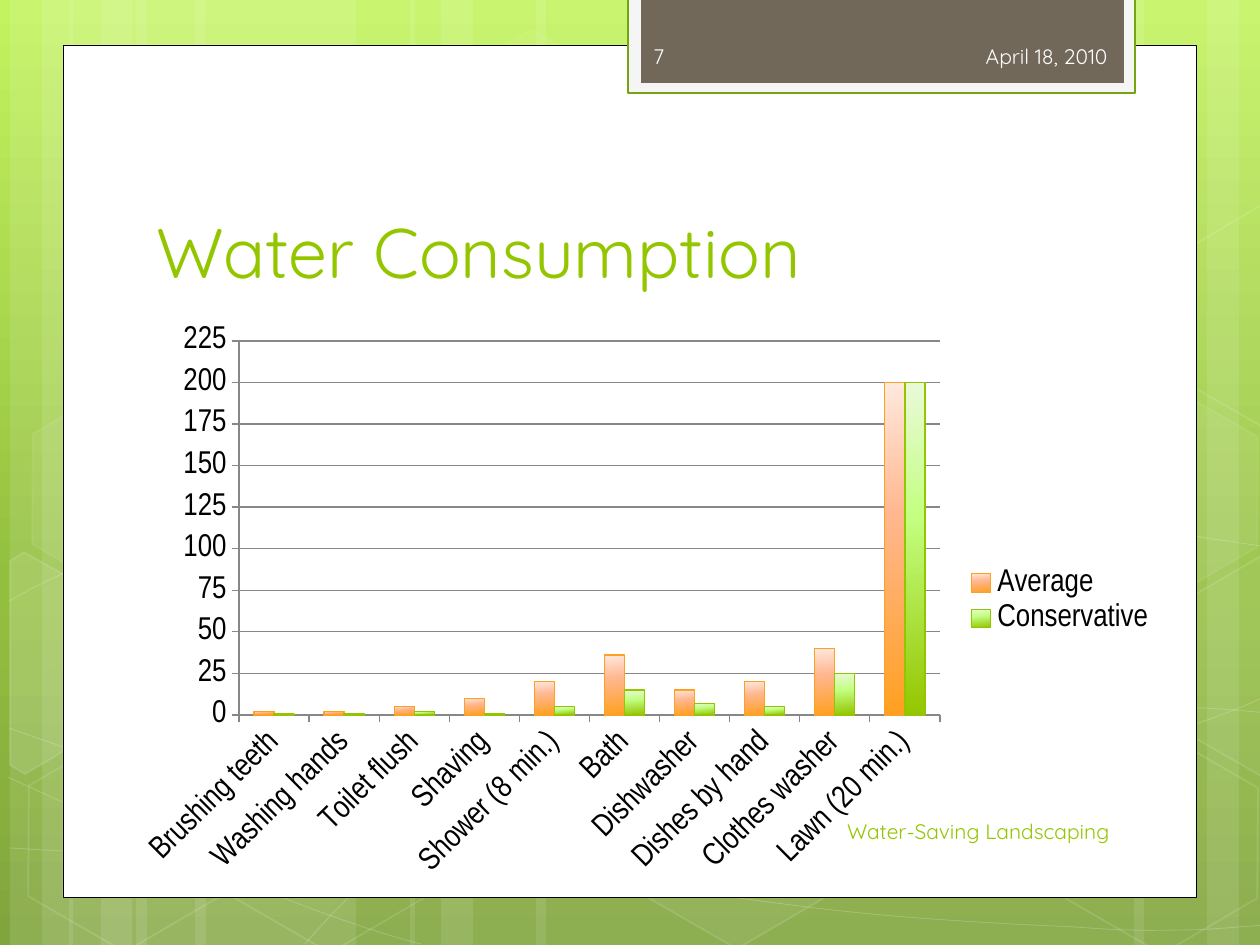
from lxml.etree import SubElement
from pptx import Presentation
from pptx.chart.data import CategoryChartData
from pptx.dml.color import RGBColor
from pptx.enum.chart import XL_CHART_TYPE as ChartType, XL_LEGEND_POSITION as LegendPos, XL_TICK_MARK as Tick
from pptx.enum.shapes import MSO_SHAPE as Shape
from pptx.enum.text import MSO_ANCHOR as Anchor, PP_ALIGN as Align
from pptx.oxml import parse_xml
from pptx.oxml.ns import nsdecls, qn
from pptx.util import Pt

PX = 914400 / 126  # EMU in one pixel
THEME = {
    "white": "FFFFFF", "black": "000000", "green": "94C600", "orange": "FEA022",
    "tab": "71685A", "tab_frame": "F5F5F5", "tab_line": "74A510", "tab_text": "FEFEFE", "grid": "878787",
    "background": [(0, "C3F35F"), (62, "93BF3F"), (100, "81A53E")],
    "orange_fade": [(0, "FFE9DE"), (40, "FFB78F"), (100, "FFA021")],
    "green_fade": [(0, "EAF9DA"), (40, "C4FF82"), (100, "94C600")],
    "font": "Quicksand", "chart_font": "Arial Narrow",
    "title_size": 40, "chart_size": 18, "small_size": 12,
}


def fade(owner, fill, stops, angle):
    """Fill with a gradient whose angle runs clockwise."""
    fill.gradient()
    fill.gradient_angle = 360 - angle
    stop_list = owner.find(".//" + qn("a:gsLst"))
    stop_list.clear()
    for percent, color in stops:
        stop = SubElement(stop_list, qn("a:gs"), pos=str(percent * 1000))
        SubElement(stop, qn("a:srgbClr"), val=color)


def paint(shape, fill=None, fill_alpha=100, line=None, width=1, line_alpha=100):
    """Set fill and outline; alphas are percent opaque."""
    shape.shadow.inherit = False
    for target, color, alpha in ((shape.fill, fill, fill_alpha), (shape.line.fill, line, line_alpha)):
        if not color:
            target.background()
            continue
        target.solid()
        target.fore_color.rgb = RGBColor.from_string(THEME[color])
        if alpha < 100:
            parent = shape.line._ln if target is shape.line.fill else shape._element.spPr
            swatch = parent.find(qn("a:solidFill")).find(qn("a:srgbClr"))
            SubElement(swatch, qn("a:alpha"), val=str(alpha * 1000))
    if line:
        shape.line.width = Pt(width)


deck = Presentation()
deck.slide_width, deck.slide_height = round(1260 * PX), round(945 * PX)
slide = deck.slides.add_slide(deck.slide_layouts[6])
shapes = slide.shapes
fade(slide.element, slide.background.fill, THEME["background"], 90)

# Vertical light bands: left, width
bands = [(136, 220), (10, 63), (42, 105), (195, 220), (69, 63), (101, 105),
         (924, 220), (1207, 63), (1134, 105), (536, 388), (410, 63), (441, 105)]
for left, width in bands:
    band = shapes.add_shape(Shape.RECTANGLE, round(left * PX), 0, round(width * PX), deck.slide_height)
    paint(band, "white", 10)

# Sweeping curves: start, then two controls and an end for each cubic piece
curves = [
    [(9, 848), (77, 852), (145, 856), (239, 854), (334, 853), (451, 851), (577, 838),
     (703, 825), (882, 801), (998, 777), (1113, 753), (1231, 716), (1269, 694)],
    [(9, 601), (45, 581), (82, 562), (152, 543), (224, 524), (326, 499), (437, 488),
     (549, 479), (685, 478), (824, 488), (963, 498), (1193, 537), (1269, 547)],
    [(8, 777), (160, 847), (311, 916), (421, 944)],
    [(9, 728), (48, 742), (88, 756), (161, 776), (234, 795), (344, 827), (450, 848),
     (554, 869), (687, 892), (791, 905), (896, 919), (1008, 924), (1075, 927),
     (1140, 932), (1158, 930), (1191, 930), (1223, 929), (1246, 926), (1269, 925)],
    [(305, 944), (328, 918), (350, 893), (381, 871), (411, 848), (454, 823), (489, 805),
     (524, 788), (546, 780), (592, 767), (638, 755), (722, 737), (766, 728),
     (811, 719), (818, 719), (857, 717), (896, 713), (958, 709), (1000, 708),
     (1044, 707), (1116, 708), (1116, 708), (1144, 708), (1173, 708), (1201, 708),
     (1223, 709), (1245, 711), (1256, 712), (1267, 713), (1264, 712), (1268, 713)],
]
for knots in curves:
    trail = [(round(x * PX), round(y * PX)) for x, y in knots]
    builder = shapes.build_freeform(*trail[0])
    builder.add_line_segments(trail[1:], close=False)
    curve = builder.convert_to_shape()
    # Turn every three straight segments into one cubic piece
    outline = curve._element.find(".//" + qn("a:path"))
    segments = outline.findall(qn("a:lnTo"))
    for first in range(0, len(segments), 3):
        cubic = SubElement(outline, qn("a:cubicBezTo"))
        for segment in segments[first:first + 3]:
            cubic.append(segment[0])
            outline.remove(segment)
    paint(curve, line="white", width=0.5, line_alpha=20)

# Whole hexagons: left, top, fill alpha (0 is unfilled), line alpha
hexagons = [(421, 45, 4, 8), (626, 742, 6, 12), (14, 745, 0, 12), (18, 393, 7, 8),
            (219, 746, 0, 12), (949, 571, 10, 12), (1051, 747, 0, 12), (1051, 396, 7, 8)]
for left, top, fill_alpha, line_alpha in hexagons:
    hexagon = shapes.add_shape(Shape.HEXAGON, *(round(n * PX) for n in (left, top, 221, 192)))
    hexagon.adjustments[0] = 0.285
    hexagon.rotation = 30
    paint(hexagon, "white" if fill_alpha else None, fill_alpha, "white", 1, line_alpha)

# Hexagons cut by the slide edge: fill alpha, corners
cut_hexagons = [
    (10, [(10, 561), (24, 552), (121, 607), (120, 718), (25, 774), (10, 765)]),
    (4, [(1167, 611), (1261, 556), (1271, 562), (1271, 772), (1263, 777), (1167, 722)]),
    (0, [(1167, 261), (1261, 205), (1273, 212), (1271, 422), (1263, 427), (1167, 372)]),
]
for fill_alpha, corners in cut_hexagons:
    edge = [(round(x * PX), round(y * PX)) for x, y in corners]
    builder = shapes.build_freeform(*edge[0])
    builder.add_line_segments(edge[1:], close=True)
    paint(builder.convert_to_shape(), "white" if fill_alpha else None, fill_alpha, "white", 1, 12)

# White page and the tab at its top
panels = [
    ((63, 45, 1134, 853), {"fill": "white", "line": "black", "width": 0.5}),
    ((628, -2, 507, 95), {"fill": "tab_frame", "line": "tab_line", "width": 1.25}),
    ((641, -2, 483, 85), {"fill": "tab"}),
]
for box, look in panels:
    paint(shapes.add_shape(Shape.RECTANGLE, *(round(n * PX) for n in box)), **look)

# Water use chart
water_use = CategoryChartData()
water_use.categories = ["Brushing teeth", "Washing hands", "Toilet flush", "Shaving", "Shower (8 min.)",
                        "Bath", "Dishwasher", "Dishes by hand", "Clothes washer", "Lawn (20 min.)"]
water_use.add_series("Average", (2, 2, 5, 10, 20, 36, 15, 20, 40, 200))
water_use.add_series("Conservative", (0.5, 0.5, 2, 1, 5, 15, 7, 5, 25, 200))
frame = (126, 315, 1043, 572)
chart = shapes.add_chart(ChartType.COLUMN_CLUSTERED, *(round(n * PX) for n in frame), water_use).chart
chart.has_title = False
chart.font.name = THEME["chart_font"]
chart.font.size = Pt(THEME["chart_size"])
chart.font.color.rgb = RGBColor.from_string(THEME["black"])
chart.has_legend = True
chart.legend.position = LegendPos.RIGHT
chart.legend.include_in_layout = False

plot = chart.plots[0]
for name, value in {"gap_width": 150, "overlap": 0, "vary_by_categories": False}.items():
    setattr(plot, name, value)
for series, stops, edge in zip(plot.series, ("orange_fade", "green_fade"), ("orange", "green")):
    fade(series._element, series.format.fill, THEME[stops], 84)
    series.format.line.color.rgb = RGBColor.from_string(THEME[edge])
    series.format.line.width = Pt(0.75)

gallons = chart.value_axis
scale = {"minimum_scale": 0, "maximum_scale": 225, "major_unit": 25, "has_major_gridlines": True}
for name, value in scale.items():
    setattr(gallons, name, value)
gallons.tick_labels.number_format = "0"
gallons.tick_labels.number_format_is_linked = False
for axis in (gallons, chart.category_axis):
    axis.major_tick_mark = Tick.OUTSIDE
    axis.tick_labels.font.name = THEME["chart_font"]
    axis.tick_labels.font.size = Pt(THEME["chart_size"])
for ruled in (gallons, gallons.major_gridlines, chart.category_axis):
    ruled.format.line.color.rgb = RGBColor.from_string(THEME["grid"])
    ruled.format.line.width = Pt(0.75)
slant = chart.category_axis._element.find(qn("c:txPr")).find(qn("a:bodyPr"))
slant.set("rot", "-2700000")
slant.set("vert", "horz")

# Fixed plot area, as shares of the chart frame
left, top, width, height = frame
shares = {"x": (239 - left) / width, "y": (341 - top) / height, "w": 701 / width, "h": 374 / height}
layout = parse_xml(f'<c:layout {nsdecls("c")}><c:manualLayout><c:layoutTarget val="inner"/>'
                   '<c:xMode val="edge"/><c:yMode val="edge"/></c:manualLayout></c:layout>')
for side, share in shares.items():
    SubElement(layout[0], qn(f"c:{side}"), val=str(share))
plot_area = chart._chartSpace.chart.plotArea
for old_layout in plot_area.findall(qn("c:layout")):
    plot_area.remove(old_layout)
plot_area.insert(0, layout)

# Title, date, footer and page number
texts = [
    ("Water Consumption", (144, 141, 968, 158), "title_size", "green", Align.LEFT, Anchor.BOTTOM),
    ("April 18, 2010", (826, 31, 294, 50), "small_size", "tab_text", Align.RIGHT, Anchor.MIDDLE),
    ("Water-Saving Landscaping", (639, 806, 483, 50), "small_size", "green", Align.RIGHT, Anchor.MIDDLE),
    ("7", (641, 31, 184, 50), "small_size", "tab_text", Align.LEFT, Anchor.MIDDLE),
]
for words, box, size, color, align, anchor in texts:
    text = shapes.add_textbox(*(round(n * PX) for n in box)).text_frame
    text.word_wrap = True
    text.vertical_anchor = anchor
    line = text.paragraphs[0]
    line.text = words
    line.alignment = align
    for name, value in {"name": THEME["font"], "size": Pt(THEME[size])}.items():
        setattr(line.runs[0].font, name, value)
    line.runs[0].font.color.rgb = RGBColor.from_string(THEME[color])

deck.save("out.pptx")
